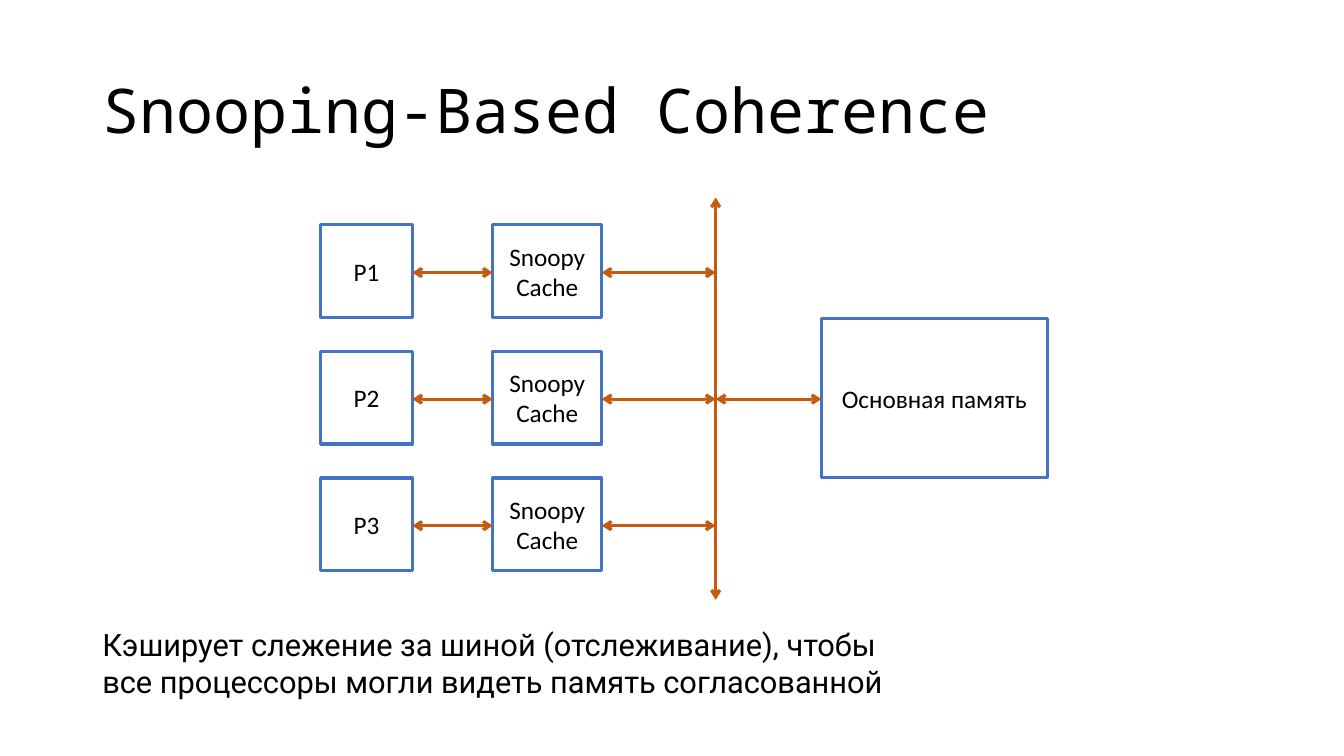
"""Build the slide on snooping-based cache coherence."""
from lxml.etree import SubElement
from pptx import Presentation
from pptx.dml.color import RGBColor
from pptx.enum.shapes import MSO_CONNECTOR, MSO_SHAPE
from pptx.enum.text import MSO_ANCHOR, MSO_AUTO_SIZE, PP_ALIGN
from pptx.oxml.ns import qn
from pptx.util import Pt


def write(shape, text, font, size, align, anchor):
    frame = shape.text_frame
    frame.text = text
    frame.word_wrap = True
    frame.auto_size = MSO_AUTO_SIZE.NONE
    frame.vertical_anchor = anchor
    para = frame.paragraphs[0]
    para.alignment = align
    span = para.runs[0]
    span.font.name = font
    span.font.size = Pt(size)
    span.font.color.rgb = RGBColor.from_string("000000")
    return para


deck = Presentation()
deck.slide_width, deck.slide_height = Pt(960), Pt(540)
page = deck.slides.add_slide(deck.slide_layouts[5])

title = page.shapes.title
title.left, title.top, title.width, title.height = Pt(66), Pt(28.75), Pt(856), Pt(104.4)
para = write(title, "Snooping-Based Coherence", "Noto Sans Mono", 44,
             PP_ALIGN.LEFT, MSO_ANCHOR.MIDDLE)
para.line_spacing = 0.9

caption = page.shapes.add_textbox(Pt(66), Pt(443.5), Pt(592.6), Pt(60.5))
write(caption, "Кэширует слежение за шиной (отслеживание), чтобы все процессоры "
      "могли видеть память согласованной", "Roboto", 22, PP_ALIGN.LEFT, MSO_ANCHOR.TOP)

row_top, row_pitch, row_height = 160.6, 90.4, 66.2
processor_left, processor_width = 229, 65.5
cache_left, cache_width = 352, 77.8
memory_left = 586.8
bus = 511.2

boxes = [("Основная память", memory_left, 227.5, 161.3, 113.8)]
arrows = [(bus, 428.4, bus, 141.1)]
for row in range(3):
    top = row_top + row * row_pitch
    middle = top + row_height / 2 + 1
    boxes.append((f"P{row + 1}", processor_left, top, processor_width, row_height))
    boxes.append(("Snoopy Cache", cache_left, top, cache_width, row_height))
    arrows.append((processor_left + processor_width, middle, cache_left, middle))
    arrows.append((cache_left + cache_width, middle, bus, middle))
    if row == 1:
        arrows.append((bus, middle, memory_left, middle))

for text, left, top, width, height in boxes:
    box = page.shapes.add_shape(MSO_SHAPE.RECTANGLE, Pt(left), Pt(top), Pt(width), Pt(height))
    box.shadow.inherit = False
    box.fill.solid()
    box.fill.fore_color.rgb = RGBColor.from_string("FFFFFF")
    box.line.color.rgb = RGBColor.from_string("4472C4")
    box.line.width = Pt(2.25)
    write(box, text, "Calibri", 18, PP_ALIGN.CENTER, MSO_ANCHOR.MIDDLE)

for ends in arrows:
    arrow = page.shapes.add_connector(MSO_CONNECTOR.STRAIGHT, *[Pt(end) for end in ends])
    arrow.line.color.rgb = RGBColor.from_string("C55A11")
    arrow.line.width = Pt(2.25)
    properties = arrow.element.spPr
    outline = properties.find(qn("a:ln"))
    for tip in ("a:headEnd", "a:tailEnd"):
        SubElement(outline, qn(tip), type="arrow")
    SubElement(properties, qn("a:effectLst"))

deck.save("out.pptx")
